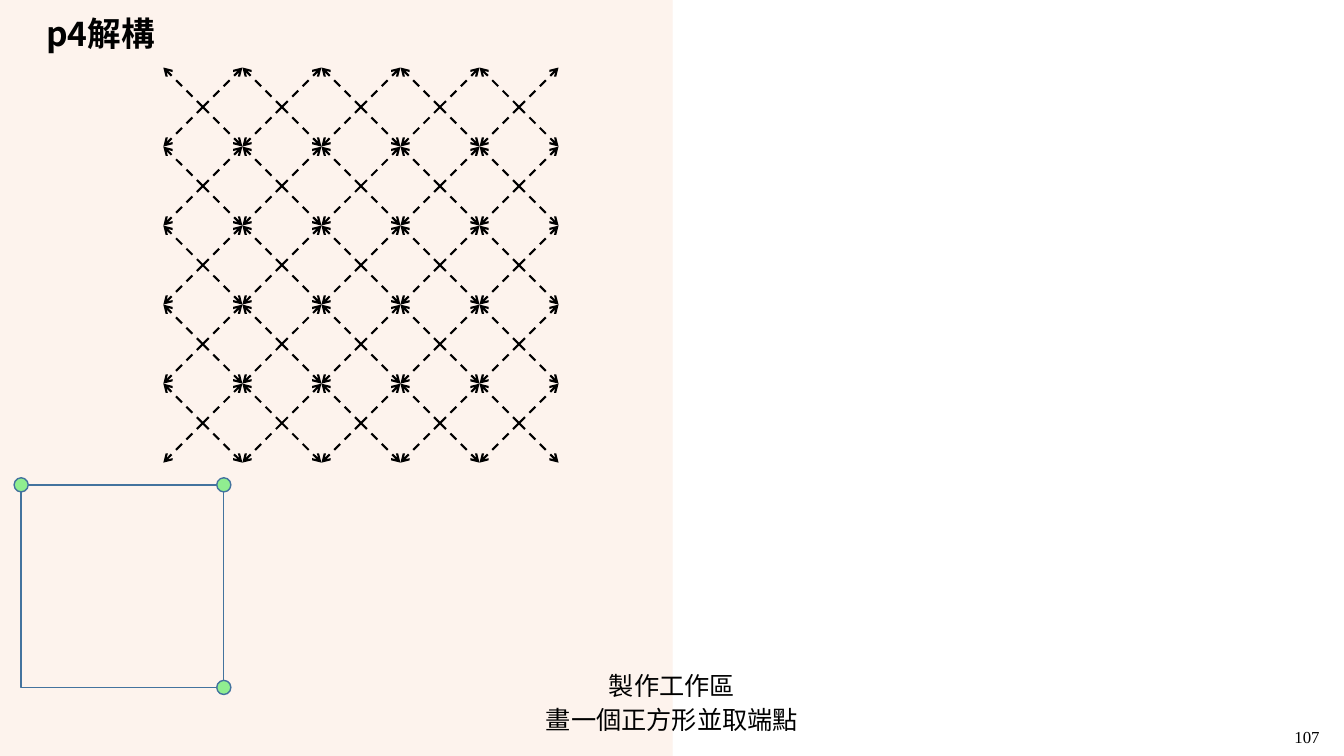
from itertools import product

from pptx import Presentation
from pptx.dml.color import RGBColor
from pptx.enum.dml import MSO_LINE
from pptx.enum.shapes import MSO_CONNECTOR, MSO_SHAPE
from pptx.enum.text import MSO_ANCHOR, MSO_AUTO_SIZE, PP_ALIGN
from pptx.oxml.ns import qn
from pptx.oxml.xmlchemy import OxmlElement
from pptx.util import Inches, Pt

RECTANGLE, ROUNDED, OVAL = MSO_SHAPE.RECTANGLE, MSO_SHAPE.ROUNDED_RECTANGLE, MSO_SHAPE.OVAL
STRAIGHT = MSO_CONNECTOR.STRAIGHT
DASH, SOLID = MSO_LINE.DASH, MSO_LINE.SOLID
MIDDLE, TOP = MSO_ANCHOR.MIDDLE, MSO_ANCHOR.TOP
FIT_SHAPE, FIXED = MSO_AUTO_SIZE.SHAPE_TO_FIT_TEXT, MSO_AUTO_SIZE.NONE
LEFT, CENTER = PP_ALIGN.LEFT, PP_ALIGN.CENTER

COLORS = {"panel": "F4B183", "divider": "FBE5D6", "ink": "000000",
          "outline": "43739E", "dot": "90EE90"}
SERIF, SANS = "Times New Roman", "Noto Sans CJK SC"

GRID_LEFT, GRID_TOP, GRID_SIZE, GRID_CELLS = 1.62, 0.67, 3.92, 5
SQUARE_LEFT, SQUARE_TOP, SQUARE_SIDE = 0.21, 4.81, 2.01
DOT_SIZE = 0.14


def color(name):
    return RGBColor.from_string(COLORS[name])


def add_element(parent, tag, **attributes):
    element = OxmlElement(tag)
    for key, value in attributes.items():
        element.set(key, value)
    parent.append(element)


def set_alpha(properties, percent):
    """Make the solid fill directly inside an spPr or ln element translucent."""
    shade = properties.find(qn("a:solidFill")).find(qn("a:srgbClr"))
    add_element(shade, "a:alpha", val=str(percent * 1000))


def add_shape(slide, kind, bounds, fill=None, outline=None):
    shape = slide.shapes.add_shape(kind, *map(Inches, bounds))
    shape.shadow.inherit = False
    if fill:
        shape.fill.solid()
        shape.fill.fore_color.rgb = color(fill)
    else:
        shape.fill.background()
    if outline:
        shape.line.color.rgb = color(outline)
        shape.line.width = Pt(1)
    else:
        shape.line.fill.background()
    return shape


def add_line(shapes, start, end, ink, width, dash=SOLID):
    """Draw a straight line and return its ln element."""
    line = shapes.add_connector(STRAIGHT, *map(Inches, (*start, *end)))
    line.line.color.rgb = color(ink)
    line.line.width = Pt(width)
    line.line.dash_style = dash
    properties = line._element.spPr
    add_element(properties, "a:effectLst")
    return properties.find(qn("a:ln"))


def write(shape, text, size, font=SERIF, bold=False, align=LEFT, spacing=None,
          anchor=MIDDLE, fit=FIT_SHAPE):
    frame = shape.text_frame
    for key, value in {"word_wrap": False, "auto_size": fit,
                       "vertical_anchor": anchor}.items():
        setattr(frame, key, value)
    para = frame.paragraphs[0]
    para.alignment = align
    para.line_spacing = spacing
    span = para.add_run()
    span.text = text
    span.font.color.rgb = color("ink")
    for key, value in {"size": Pt(size), "name": font, "bold": bold}.items():
        setattr(span.font, key, value)
    add_element(span.font._element, "a:ea", typeface=SANS)


def add_text(slide, bounds, text, size, **options):
    write(slide.shapes.add_textbox(*map(Inches, bounds)), text, size, **options)


def add_background(slide):
    panel = add_shape(slide, RECTANGLE, (0, 0, 6.67, 7.5), fill="panel")
    set_alpha(panel._element.spPr, 14)
    divider = add_line(slide.shapes, (6.67, 7.5), (6.67, 0), "divider", 0.25)
    set_alpha(divider, 50)


def add_crease_grid(slide):
    """Send four dashed arrows from each cell's centre to its corners."""
    group = slide.shapes.add_group_shape()
    pitch = GRID_SIZE / GRID_CELLS
    half = pitch / 2
    for row, column in product(range(GRID_CELLS), repeat=2):
        x = GRID_LEFT + column * pitch + half
        y = GRID_TOP + row * pitch + half
        for down, across in product((-half, half), repeat=2):
            arrow = add_line(group.shapes, (x, y), (x + across, y + down), "ink", 1.5, DASH)
            add_element(arrow, "a:tailEnd", type="arrow")


def add_square(slide):
    add_shape(slide, RECTANGLE, (SQUARE_LEFT, SQUARE_TOP, SQUARE_SIDE, SQUARE_SIDE),
              outline="outline")


def add_corner_dots(slide):
    for across, down in ((0, 0), (1, 1), (1, 0)):
        x = SQUARE_LEFT + across * SQUARE_SIDE - DOT_SIZE / 2
        y = SQUARE_TOP + down * SQUARE_SIDE - DOT_SIZE / 2
        add_shape(slide, OVAL, (x, y, DOT_SIZE, DOT_SIZE), "dot", "outline")


def add_caption(slide, bounds, text):
    write(add_shape(slide, ROUNDED, bounds), text, 18, align=CENTER)


def main():
    deck = Presentation()
    deck.slide_width, deck.slide_height = Inches(13.33), Inches(7.5)
    slide = deck.slides.add_slide(deck.slide_layouts[6])
    add_background(slide)
    add_caption(slide, (5.29, 6.91, 2.75, 0.45), "畫一個正方形並取端點")
    add_crease_grid(slide)
    add_square(slide)
    add_caption(slide, (5.91, 6.58, 1.51, 0.45), "製作工作區")
    add_corner_dots(slide)
    add_text(slide, (0.36, 0.13, 5.95, 0.44), "p4解構", 24, font=SANS, bold=True,
             spacing=0.9, fit=FIXED)
    add_text(slide, (12.74, 7.16, 0.45, 0.3), "107", 12, anchor=TOP)
    deck.save("out.pptx")


if __name__ == "__main__":
    main()
